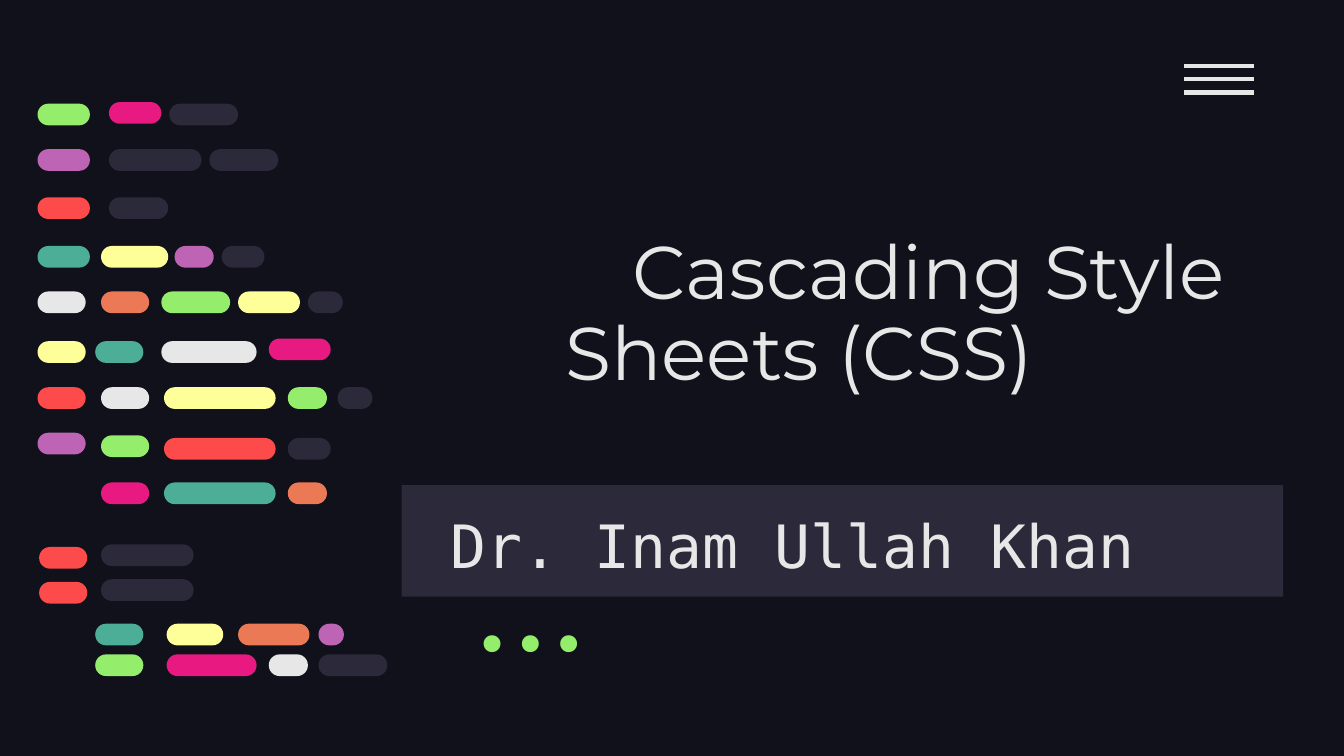
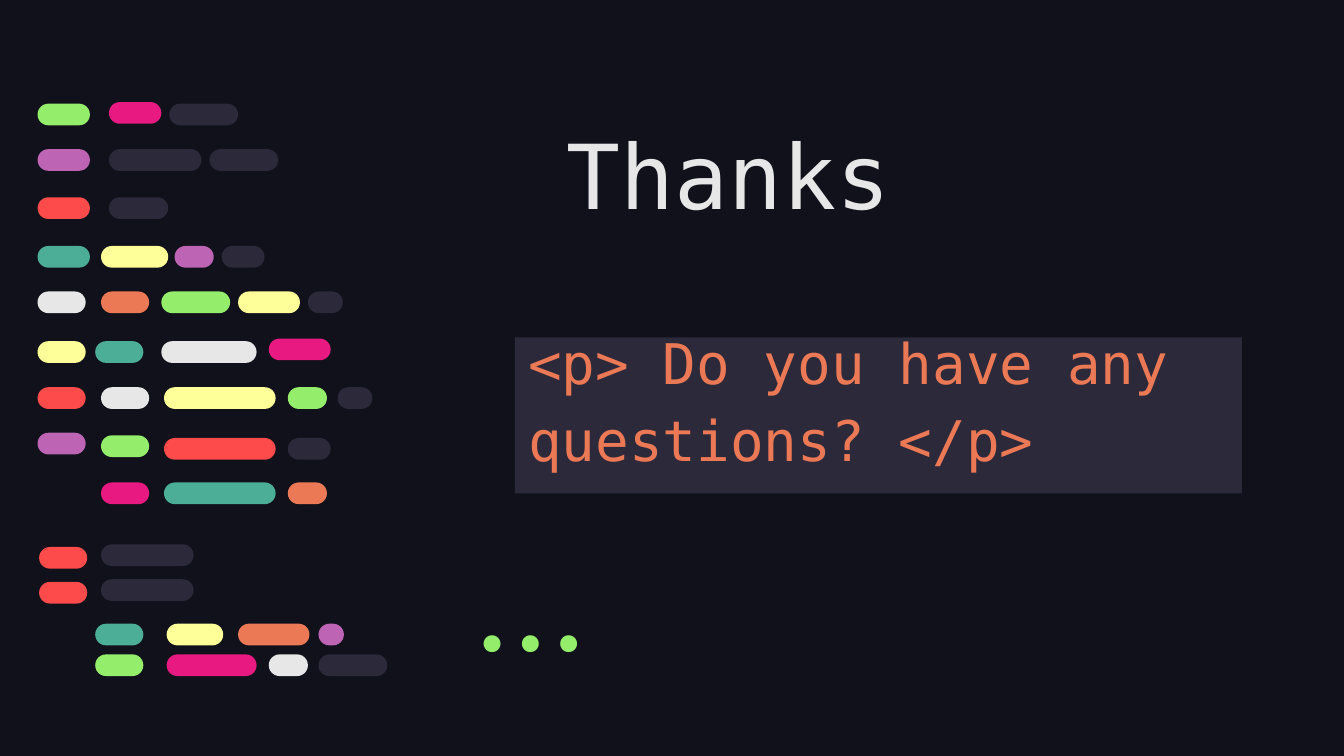
from lxml import etree
from pptx import Presentation
from pptx.dml.color import RGBColor
from pptx.enum.shapes import MSO_CONNECTOR, MSO_SHAPE
from pptx.enum.text import MSO_ANCHOR, PP_ALIGN
from pptx.oxml.ns import qn
from pptx.util import Cm, Pt

RECTANGLE = MSO_SHAPE.RECTANGLE
PILL = MSO_SHAPE.ROUNDED_RECTANGLE
STRAIGHT = MSO_CONNECTOR.STRAIGHT
TOP, MIDDLE, BOTTOM = MSO_ANCHOR.TOP, MSO_ANCHOR.MIDDLE, MSO_ANCHOR.BOTTOM
LEFT, RIGHT = PP_ALIGN.LEFT, PP_ALIGN.RIGHT

NIGHT, PANEL, WHITE = "10111A", "2C293A", "E7E7E7"
GREEN, PINK, PURPLE, RED = "94EE6B", "E81A81", "BD64B5", "FD4A4A"
TEAL, YELLOW, ORANGE = "4CAE97", "FFFF99", "EC7955"
MONO = "DejaVu Sans Mono"
INSET = 0.25
PILL_HEIGHT = 0.41

CODE_ROWS = [
    (1.93, [(2.06, 0.99, PINK)]),
    (1.96, [(0.71, 0.99, GREEN), (3.2, 1.3, PANEL)]),
    (2.82, [(0.71, 0.99, PURPLE), (2.06, 1.75, PANEL), (3.96, 1.3, PANEL)]),
    (3.73, [(0.71, 0.99, RED), (2.06, 1.12, PANEL)]),
    (4.65, [(0.71, 0.99, TEAL), (1.91, 1.27, YELLOW), (3.3, 0.74, PURPLE),
            (4.19, 0.81, PANEL)]),
    (5.51, [(0.71, 0.91, WHITE), (1.91, 0.91, ORANGE), (3.05, 1.3, GREEN),
            (4.5, 1.17, YELLOW), (5.82, 0.66, PANEL)]),
    (6.4, [(5.08, 1.17, PINK)]),
    (6.45, [(0.71, 0.91, YELLOW), (1.8, 0.91, TEAL), (3.05, 1.8, WHITE)]),
    (7.32, [(0.71, 0.91, RED), (1.91, 0.91, WHITE), (3.1, 2.11, YELLOW),
            (5.44, 0.74, GREEN), (6.38, 0.66, PANEL)]),
    (8.18, [(0.71, 0.91, PURPLE)]),
    (8.23, [(1.91, 0.91, GREEN)]),
    (8.28, [(3.1, 2.11, RED), (5.44, 0.81, PANEL)]),
    (9.12, [(1.91, 0.91, PINK), (3.1, 2.11, TEAL), (5.44, 0.74, ORANGE)]),
    (10.29, [(1.91, 1.75, PANEL)]),
    (10.34, [(0.74, 0.91, RED)]),
    (10.95, [(1.91, 1.75, PANEL)]),
    (11, [(0.74, 0.91, RED)]),
    (11.79, [(1.8, 0.91, TEAL), (3.15, 1.07, YELLOW), (4.5, 1.35, ORANGE),
             (6.02, 0.48, PURPLE)]),
    (12.37, [(1.8, 0.91, GREEN), (3.15, 1.7, PINK), (5.08, 0.74, WHITE),
             (6.02, 1.3, PANEL)]),
]

SLIDES = [
    {"title": ("Cascading Style Sheets (CSS)", "Montserrat", 40),
     "title_at": (6.63, 2.08, 20.5, 5.66),
     "panel": ("Dr. Inam Ullah Khan", 32, WHITE, TOP),
     "panel_at": (7.59, 9.17, 16.66, 2.11),
     "panel_insets": (0.93, INSET),
     "menu": True},
    {"title": ("Thanks", MONO, 48),
     "title_at": (5.38, 1.96, 20.45, 2.62),
     "panel": ("<p> Do you have any questions? </p>", 30, ORANGE, MIDDLE),
     "panel_at": (9.73, 6.38, 13.74, 2.95),
     "panel_insets": (INSET, 1.01),
     "menu": False},
]


def color(value):
    return RGBColor.from_string(value)


def write(box, text, font, size, ink, anchor, spacing=1.0, align=LEFT):
    frame = box.text_frame
    frame.text = text
    frame.word_wrap = True
    frame.vertical_anchor = anchor
    frame.margin_left = frame.margin_right = Cm(INSET)
    frame.margin_top = frame.margin_bottom = Cm(INSET)
    para = frame.paragraphs[0]
    para.alignment = align
    para.line_spacing = spacing
    span = para.runs[0]
    span.font.name = font
    span.font.size = Pt(size)
    span.font.color.rgb = color(ink)


deck = Presentation()
deck.slide_width, deck.slide_height = Cm(25.4), Cm(14.29)

for content in SLIDES:
    page = deck.slides.add_slide(deck.slide_layouts[6])
    page.background.fill.solid()
    page.background.fill.fore_color.rgb = color(NIGHT)

    title = page.shapes.add_textbox(*map(Cm, content["title_at"]))
    text, font, size = content["title"]
    write(title, text, font, size, WHITE, BOTTOM, spacing=0.9)
    indents = title.text_frame.paragraphs[0]._p.get_or_add_pPr()
    indents.set("marL", str(Cm(3.81)))
    indents.set("indent", str(Cm(1.27)))

    panel = page.shapes.add_shape(RECTANGLE, *map(Cm, content["panel_at"]))
    panel.shadow.inherit = False
    panel.fill.solid()
    panel.fill.fore_color.rgb = color(PANEL)
    panel.line.fill.background()
    text, size, ink, anchor = content["panel"]
    write(panel, text, MONO, size, ink, anchor, spacing=1.15)
    left_inset, bottom_inset = content["panel_insets"]
    panel.text_frame.margin_left = Cm(left_inset)
    panel.text_frame.margin_bottom = Cm(bottom_inset)

    dots = page.shapes.add_textbox(Cm(7.9), Cm(11.4), Cm(4.01), Cm(1.52))
    write(dots, "...", "Fira Code", 50, GREEN, BOTTOM, align=RIGHT)

    if content["menu"]:
        menu = page.shapes.add_group_shape()
        for index in range(3):
            height = Cm(1.25 + 0.25 * index)
            bar = menu.shapes.add_connector(STRAIGHT, Cm(22.38), height, Cm(23.7), height)
            bar.line.color.rgb = color(WHITE)
            bar.line.width = Pt(2.25)
            etree.SubElement(bar._element.spPr, qn("a:effectLst"))

    code = page.shapes.add_group_shape()
    for top, pills in CODE_ROWS:
        for left, width, tint in pills:
            pill = code.shapes.add_shape(PILL, Cm(left), Cm(top), Cm(width), Cm(PILL_HEIGHT))
            pill.adjustments[0] = 0.5
            pill.shadow.inherit = False
            pill.fill.solid()
            pill.fill.fore_color.rgb = color(tint)
            pill.line.fill.background()

deck.save("out.pptx")
